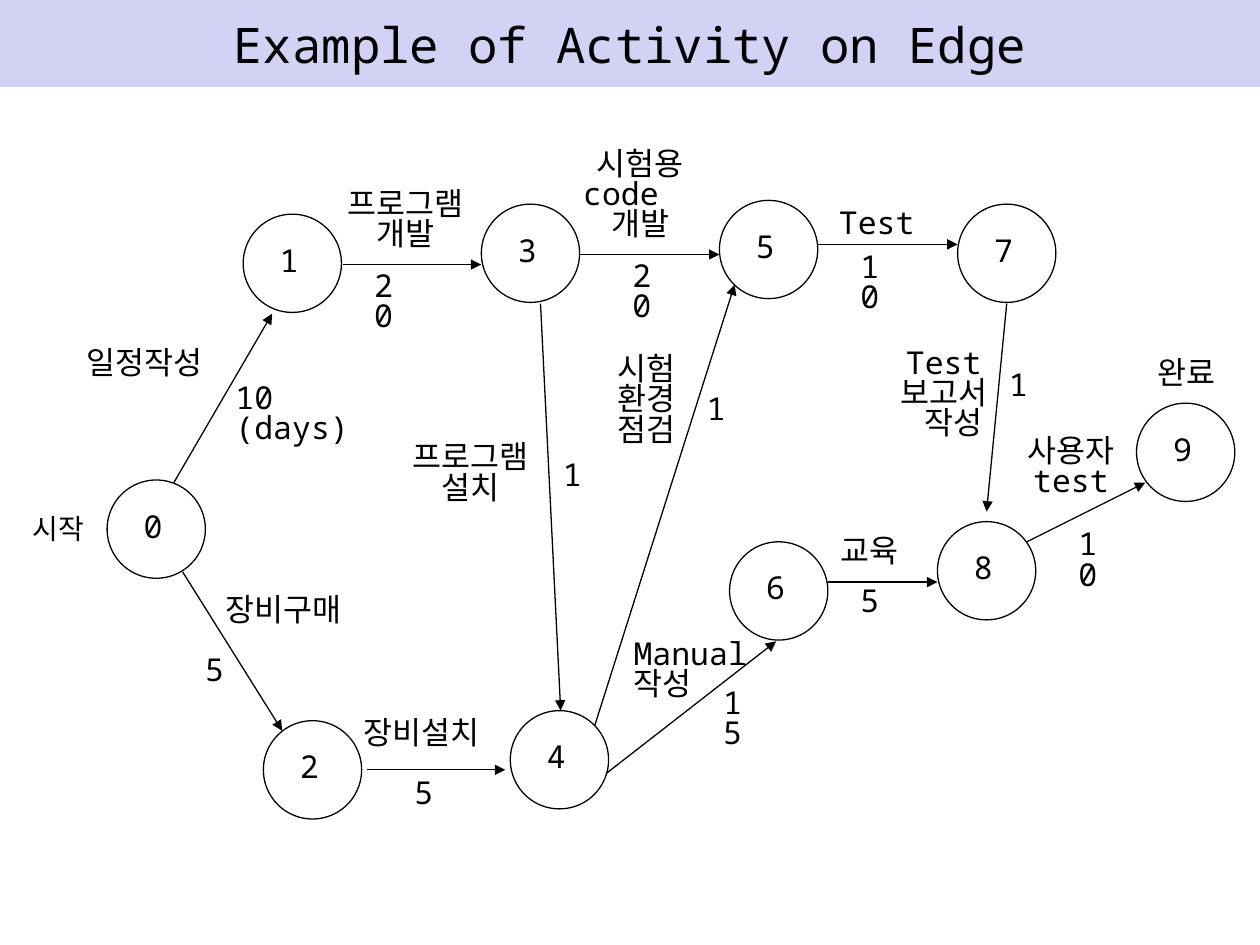
from lxml.etree import SubElement
from pptx import Presentation
from pptx.dml.color import RGBColor
from pptx.enum.shapes import MSO_CONNECTOR as Link, MSO_SHAPE as Shape
from pptx.enum.text import MSO_ANCHOR as Anchor, MSO_AUTO_SIZE as Fit, PP_ALIGN as Align
from pptx.oxml.ns import qn
from pptx.util import Inches, Pt

FONT = "Noto Sans Mono"
BLACK, WHITE, LILAC = "000000", "FFFFFF", "D2D2F4"
L, C = Align.LEFT, Align.CENTER
NODE_SIZE = 0.78

TITLE = "Example of Activity on Edge"
EVENTS = [
    (0.85, 3.81), (1.93, 1.7), (2.09, 5.72), (3.82, 1.62), (4.05, 5.64),
    (5.71, 1.59), (5.79, 4.3), (7.6, 1.62), (7.44, 4.14), (9.02, 3.2),
]
ACTIVITIES = [
    ((1.38, 3.83), (2.16, 2.49)),
    ((1.45, 4.54), (2.24, 5.8)),
    ((2.72, 2.1), (3.82, 2.1)),
    ((2.91, 6.11), (4.01, 6.11)),
    ((4.6, 2.02), (5.71, 2.02)),
    ((6.49, 1.94), (7.6, 1.94)),
    ((4.29, 2.41), (4.45, 5.64)),
    ((4.81, 6.14), (6.16, 5.09)),
    ((6.57, 4.62), (7.44, 4.62)),
    ((7.99, 2.41), (7.83, 4.06)),
    ((8.15, 4.3), (9.09, 3.83)),
    ((4.72, 5.76), (5.83, 2.26)),
]
# left, top, width, lines, paragraphs
NAMES = [
    (0.59, 2.73, 1.21, 1, [("일정작성", L)]),
    (1.69, 4.69, 1.21, 1, [("장비구매", L)]),
    (2.61, 1.47, 1.21, 2, [("프로그램", C), ("개발", C)]),
    (2.79, 5.67, 1.21, 1, [("장비설치", L)]),
    (4.53, 1.15, 1.1, 3, [("시험용", C), ("code", L), ("개발", C)]),
    (6.56, 1.62, 0.89, 1, [("Test", L)]),
    (3.13, 3.48, 1.21, 2, [("프로그램", C), ("설치", C)]),
    (4.93, 5.04, 1.34, 2, [("Manual 작성", L)]),
    (6.57, 4.22, 1.34, 1, [("교육", L)]),
    (6.82, 2.73, 1.34, 3, [("Test", C), ("보고서", C), (" 작성", C)]),
    (7.83, 3.43, 1.34, 2, [("사용자 test", C)]),
    (4.8, 2.78, 0.99, 3, [("시험 환경 점검", L)]),
    (9.09, 2.81, 0.79, 1, [("완료", L)]),
    (1.77, 3.01, 1.45, 2, [("10 (days)", L)]),
]
START = (0.16, 4.06, 1.34, 1, [("시작", L)])
DAYS = [
    ("20", 2.87, 2.12), ("5", 1.53, 5.17), ("20", 4.92, 2.04), ("5", 3.19, 6.14),
    ("10", 6.73, 1.97), ("15", 5.64, 5.43), ("5", 6.73, 4.62), ("10", 8.46, 4.17),
    ("1", 4.37, 3.62), ("1", 7.91, 2.91), ("1", 5.51, 3.1),
]
DAYS_WIDTH = {1: 0.34, 2: 0.48}


def color(hex_code):
    return RGBColor.from_string(hex_code)


def write(paragraph, text, align, size=18, spacing=0.8):
    paragraph.alignment = align
    paragraph.line_spacing = spacing
    run = paragraph.add_run()
    run.text = text
    run.font.name = FONT
    run.font.size = Pt(size)
    run.font.color.rgb = color(BLACK)
    SubElement(run.font._element, qn("a:ea"), typeface=FONT)


def add_event(slide, number, left, top):
    event = slide.shapes.add_shape(
        Shape.OVAL, *map(Inches, (left, top, NODE_SIZE, NODE_SIZE)))
    event.shadow.inherit = False
    event.fill.solid()
    event.fill.fore_color.rgb = color(WHITE)
    event.line.color.rgb = color(BLACK)
    event.line.width = Pt(0.75)
    frame = event.text_frame
    frame.margin_left = frame.margin_top = frame.margin_bottom = 0
    frame.margin_right = Inches(0.05)
    frame.vertical_anchor = Anchor.MIDDLE
    write(frame.paragraphs[0], str(number), C)


def add_activity(slide, start, end):
    arrow = slide.shapes.add_connector(Link.STRAIGHT, *map(Inches, start + end))
    arrow.line.color.rgb = color(BLACK)
    arrow.line.width = Pt(0.75)
    SubElement(arrow.line._get_or_add_ln(), qn("a:tailEnd"), type="triangle")
    SubElement(arrow._element.spPr, qn("a:effectLst"))


def add_label(slide, left, top, width, lines, paragraphs, size=18):
    height = 0.1 + 0.24 * lines
    frame = slide.shapes.add_textbox(*map(Inches, (left, top, width, height))).text_frame
    frame.word_wrap = True
    frame.auto_size = Fit.SHAPE_TO_FIT_TEXT
    for i, (text, align) in enumerate(paragraphs):
        paragraph = frame.add_paragraph() if i else frame.paragraphs[0]
        write(paragraph, text, align, size)


def add_title(slide):
    title = slide.shapes.title
    title.left, title.top, title.width, title.height = map(Inches, (0, 0, 10, 0.69))
    title.fill.solid()
    title.fill.fore_color.rgb = color(LILAC)
    title.text_frame.vertical_anchor = Anchor.MIDDLE
    write(title.text_frame.paragraphs[0], TITLE, C, 28, 1.0)


def main():
    deck = Presentation()
    deck.slide_width, deck.slide_height = Inches(10), Inches(7.5)
    slide = deck.slides.add_slide(deck.slide_layouts[5])
    add_title(slide)
    for number, place in enumerate(EVENTS):
        add_event(slide, number, *place)
    for start, end in ACTIVITIES:
        add_activity(slide, start, end)
    for name in NAMES:
        add_label(slide, *name)
    add_label(slide, *START, size=16)
    for days, left, top in DAYS:
        add_label(slide, left, top, DAYS_WIDTH[len(days)], len(days), [(days, L)])
    deck.save("out.pptx")


if __name__ == "__main__":
    main()
